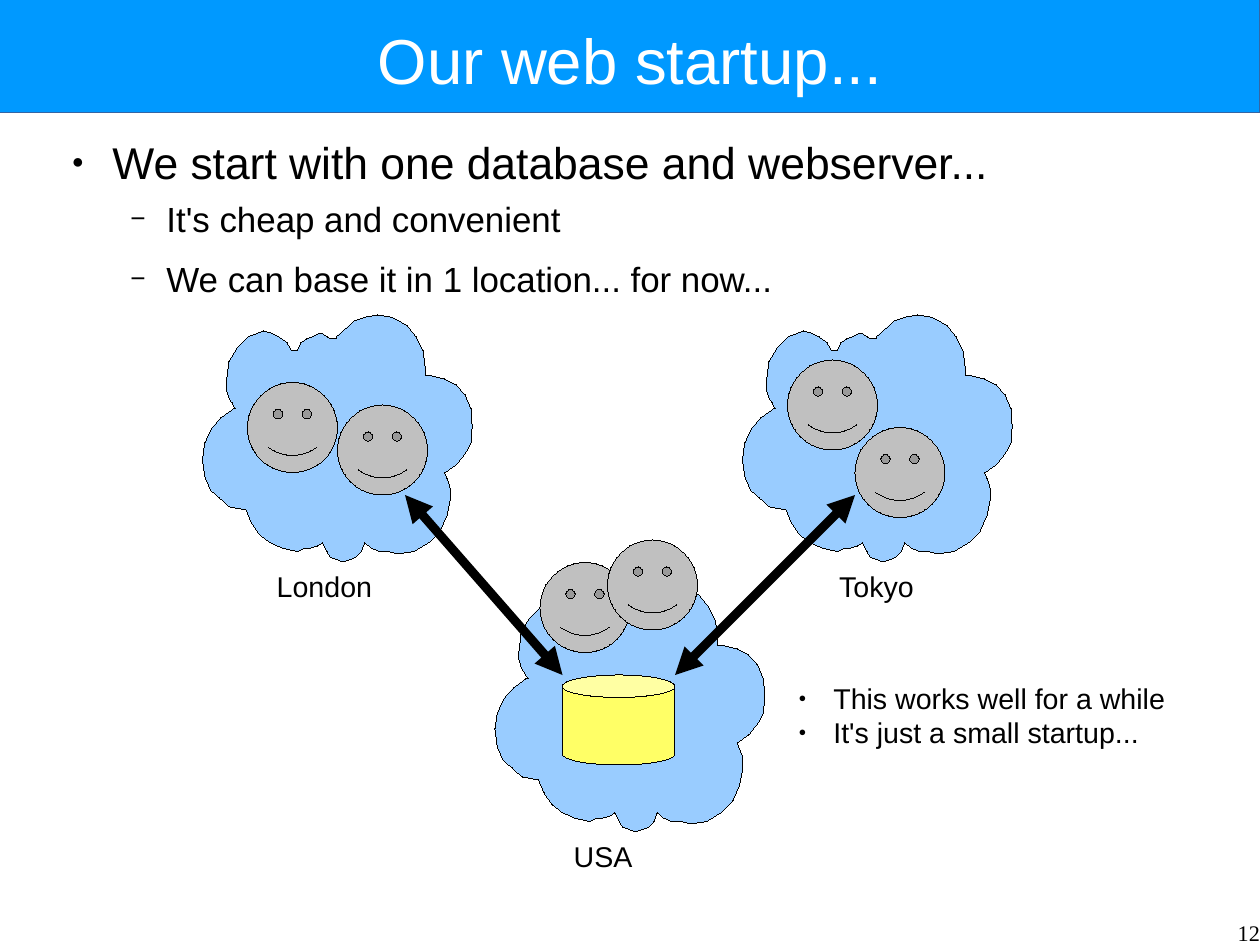
from lxml.etree import SubElement
from pptx import Presentation
from pptx.dml.color import RGBColor
from pptx.enum.shapes import MSO_CONNECTOR, MSO_SHAPE
from pptx.enum.text import MSO_ANCHOR, MSO_AUTO_SIZE, PP_ALIGN
from pptx.oxml.ns import qn
from pptx.util import Cm, Pt

BLACK = RGBColor(0x00, 0x00, 0x00)
WHITE = RGBColor(0xFF, 0xFF, 0xFF)
BAR_BLUE = RGBColor(0x00, 0x99, 0xFF)
BAR_EDGE = RGBColor(0x34, 0x65, 0xA4)
CLOUD_BLUE = RGBColor(0x99, 0xCC, 0xFF)
DISK_YELLOW = RGBColor(0xFF, 0xFF, 0x66)
FACE_GRAY = RGBColor(0xC0, 0xC0, 0xC0)

HAIRLINE = Pt(0.01)
CLOUD_UNIT = Cm(2.54) / 100
CLOUD = [
    (212, 138), (214, 143), (216, 148), (217, 153), (217, 160), (214, 175),
    (208, 189), (198, 199), (185, 207), (171, 209), (163, 207), (155, 207),
    (148, 204), (142, 199), (139, 207), (134, 212), (129, 214), (123, 216),
    (118, 214), (112, 212), (109, 207), (105, 199), (101, 202), (94, 204),
    (89, 204), (83, 207), (70, 204), (59, 199), (50, 192), (43, 182),
    (38, 170), (35, 170), (24, 168), (15, 160), (7, 153), (2, 141),
    (0, 126), (2, 112), (8, 99), (16, 90), (27, 82), (29, 82), (26, 77),
    (23, 72), (21, 65), (21, 58), (23, 41), (30, 29), (40, 19), (53, 14),
    (61, 16), (67, 19), (74, 24), (78, 31), (83, 31), (86, 24), (91, 21),
    (96, 19), (102, 16), (105, 16), (109, 19), (112, 21), (117, 21),
    (117, 19), (125, 12), (133, 5), (142, 2), (153, 0), (166, 2), (179, 9),
    (187, 19), (193, 31), (195, 46), (195, 53), (200, 53), (212, 56),
    (222, 61), (230, 70), (235, 82), (236, 97), (235, 112), (230, 121),
    (222, 131),
]


def write(p, text, size=18, font="Arial", color=BLACK, align=PP_ALIGN.LEFT,
          after=0, bullet=None, bullet_size=45, margin=0, hang=0):
    p.alignment = align
    p.space_before = Pt(0)
    p.space_after = Pt(after)
    if bullet:
        pPr = p._p.get_or_add_pPr()
        pPr.set("marL", str(Cm(margin)))
        pPr.set("indent", str(-Cm(hang)))
        SubElement(pPr, qn("a:buSzPct"), val=str(bullet_size * 1000))
        SubElement(pPr, qn("a:buFont"), typeface="Arial")
        SubElement(pPr, qn("a:buChar"), char=bullet)
    r = p.add_run()
    r.text = text
    r.font.size = Pt(size)
    r.font.name = font
    r.font.color.rgb = color


def set_insets(tf, x, y):
    tf.margin_left = tf.margin_right = Cm(x)
    tf.margin_top = tf.margin_bottom = Cm(y)


def add_text(s, x, y, w, h, lines, inset=(0.25, 0.13)):
    tf = s.shapes.add_textbox(Cm(x), Cm(y), Cm(w), Cm(h)).text_frame
    tf.word_wrap = True
    set_insets(tf, *inset)
    for i, (text, style) in enumerate(lines):
        p = tf.add_paragraph() if i else tf.paragraphs[0]
        write(p, text, **style)


def paint(sp, fill, line=BLACK):
    sp.shadow.inherit = False
    sp.fill.solid()
    sp.fill.fore_color.rgb = fill
    sp.line.color.rgb = line
    sp.line.width = HAIRLINE


def add_preset(s, kind, x, y, w, h, fill, line=BLACK):
    sp = s.shapes.add_shape(kind, Cm(x), Cm(y), Cm(w), Cm(h))
    paint(sp, fill, line)
    return sp


def add_header(s, w, h, text):
    title = s.shapes.title
    bar = add_preset(s, MSO_SHAPE.RECTANGLE, 0, 0, w, h, BAR_BLUE, BAR_EDGE)
    title.element.addprevious(bar.element)
    title.left, title.top = Cm(1.4), Cm(0.23)
    title.width, title.height = Cm(w - 2.8), Cm(h - 0.34)
    tf = title.text_frame
    tf.auto_size = MSO_AUTO_SIZE.NONE
    tf.vertical_anchor = MSO_ANCHOR.MIDDLE
    set_insets(tf, 0, 0)
    write(tf.paragraphs[0], text, size=40, color=WHITE, align=PP_ALIGN.CENTER)


def add_body(s, x, y, w, h):
    main = dict(size=28, after=5.8, bullet="●", margin=1.2, hang=0.9)
    sub = dict(size=22, after=11.3, bullet="−", bullet_size=75,
               margin=2.4, hang=0.8)
    add_text(s, x, y, w, h, [
        ("We start with one database and webserver...", main),
        ("It's cheap and convenient", sub),
        ("We can base it in 1 location... for now...", sub),
    ], inset=(0, 0))


def add_site(s, x, y, name, label_x, faces):
    fb = s.shapes.build_freeform(*CLOUD[0], scale=CLOUD_UNIT)
    fb.add_line_segments(CLOUD[1:], close=True)
    paint(fb.convert_to_shape(Cm(x), Cm(y)), CLOUD_BLUE)
    add_text(s, x + label_x, y + 5.52, 3.5, 0.97, [(name, {})])
    for dx, dy in faces:
        add_preset(s, MSO_SHAPE.SMILEY_FACE, x + dx, y + dy, 2, 2, FACE_GRAY)


def add_arrow(s, x1, y1, x2, y2):
    c = s.shapes.add_connector(MSO_CONNECTOR.STRAIGHT,
                               Cm(x1), Cm(y1), Cm(x2), Cm(y2))
    c.line.color.rgb = BLACK
    c.line.width = Pt(5.67)
    spPr = c.element.spPr
    for end in ("a:headEnd", "a:tailEnd"):
        SubElement(spPr.find(qn("a:ln")), qn(end), type="triangle")
    SubElement(spPr, qn("a:effectLst"))


def add_network(s, x, y):
    add_site(s, x, y, "London", 1.4, [(3, 2), (1, 1.5)])
    add_site(s, x + 12, y, "Tokyo", 1.9, [(2.5, 2.5), (1, 1)])
    add_site(s, x + 6.5, y + 6, "USA", 1.5, [(1, -0.5), (2.5, -1)])
    add_preset(s, MSO_SHAPE.CAN, x + 8, y + 8, 2.5, 2, DISK_YELLOW)
    add_arrow(s, x + 4.5, y + 4, x + 8, y + 8)
    add_arrow(s, x + 14.5, y + 4, x + 10.5, y + 8)


def add_remarks(s, x, y, w, h):
    item = dict(bullet="●", margin=0.77, hang=0.77)
    add_text(s, x, y, w, h, [("This works well for a while", item),
                             ("It's just a small startup...", item)])


def add_page_number(s, x, y, w, h, number):
    style = dict(size=14, font="Times New Roman", align=PP_ALIGN.RIGHT)
    add_text(s, x, y, w, h, [(number, style)], inset=(0, 0))


def main():
    prs = Presentation()
    prs.slide_width, prs.slide_height = Cm(28), Cm(21)
    s = prs.slides.add_slide(prs.slide_layouts[5])
    add_header(s, 28, 2.5, "Our web startup...")
    add_body(s, 1.3, 3, 25.2, 17.5)
    add_network(s, 4.5, 7)
    add_remarks(s, 17.5, 15, 10, 5)
    add_page_number(s, 21.47, 20.42, 6.53, 1.45, "12")
    prs.save("out.pptx")


if __name__ == "__main__":
    main()
